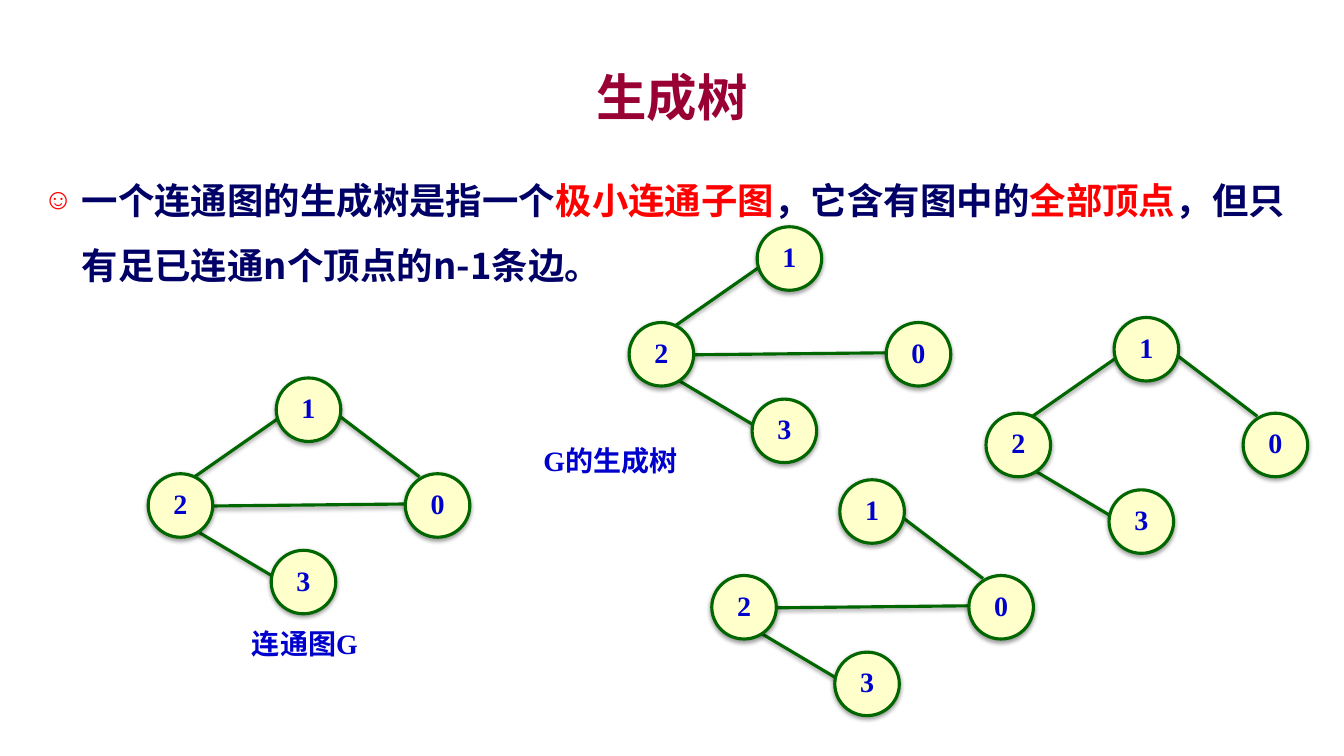
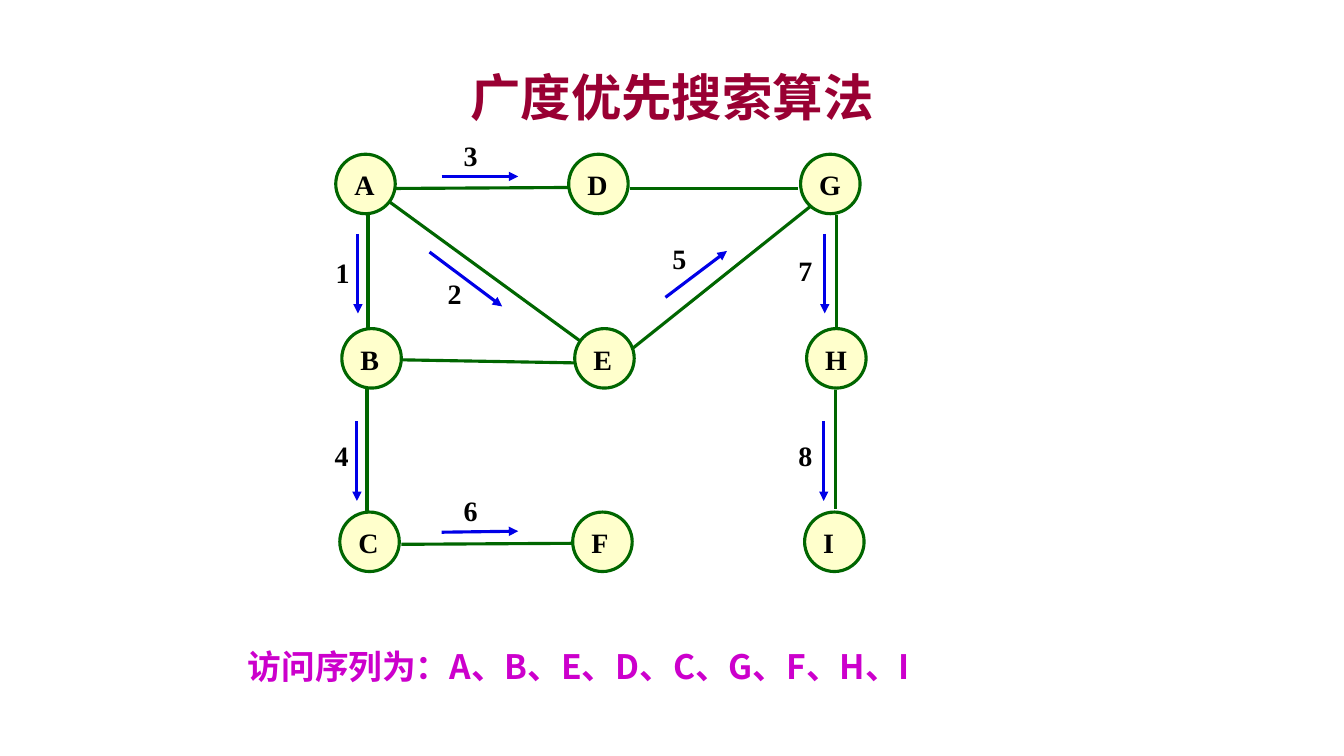
from lxml.etree import SubElement
from pptx import Presentation
from pptx.dml.color import RGBColor
from pptx.enum.shapes import MSO_CONNECTOR, MSO_SHAPE, MSO_SHAPE_TYPE
from pptx.enum.text import MSO_ANCHOR, MSO_AUTO_SIZE, PP_ALIGN
from pptx.oxml.ns import qn
from pptx.util import Pt

PX = 9144
CJK = "Noto Sans CJK SC"
SERIF = "Times New Roman"
MAROON = RGBColor(0x99, 0x00, 0x33)
NAVY = RGBColor(0x00, 0x00, 0x66)
RED = RGBColor(0xFF, 0x00, 0x00)
GREEN = RGBColor(0x00, 0x66, 0x00)
CREAM = RGBColor(0xFF, 0xFF, 0xCC)
BLUE = RGBColor(0x00, 0x00, 0xCC)
ARROW_BLUE = RGBColor(0x00, 0x00, 0xE7)
MAGENTA = RGBColor(0xCC, 0x00, 0xCC)
BLACK = RGBColor(0x00, 0x00, 0x00)


def add_line(s, ends, color, arrow=False):
    cn = s.shapes.add_connector(MSO_CONNECTOR.STRAIGHT, *[v * PX for v in ends])
    cn.line.color.rgb = color
    cn.line.width = Pt(2.25)
    if arrow:
        SubElement(cn.line._get_or_add_ln(), qn("a:tailEnd"), type="triangle")


def add_text(s, text, box, color, align, oval=False, font=SERIF, size=20):
    box = [v * PX for v in box]
    if oval:
        sp = s.shapes.add_shape(MSO_SHAPE.OVAL, *box)
        sp.fill.solid()
        sp.fill.fore_color.rgb = CREAM
        sp.line.color.rgb = GREEN
        sp.line.width = Pt(2.25)
    else:
        sp = s.shapes.add_textbox(*box)
    tf = sp.text_frame
    tf.word_wrap = True
    tf.vertical_anchor = MSO_ANCHOR.TOP
    tf.text = text
    p = tf.paragraphs[0]
    p.alignment = align
    f = p.runs[0].font
    f.name, f.size, f.bold = font, Pt(size), True
    f.color.rgb = color
    return tf


prs = Presentation()
prs.slide_width, prs.slide_height = 1333 * PX, 750 * PX

for layout, title in [(1, "生成树"), (5, "广度优先搜索算法")]:
    s = prs.slides.add_slide(prs.slide_layouts[layout])
    sp = s.shapes.title
    sp.left, sp.top, sp.width, sp.height = 100 * PX, 58 * PX, 1133 * PX, 75 * PX
    tf = sp.text_frame
    tf.text = title
    tf.auto_size = MSO_AUTO_SIZE.NONE
    tf.vertical_anchor = MSO_ANCHOR.MIDDLE
    p = tf.paragraphs[0]
    p.alignment = PP_ALIGN.CENTER
    f = p.runs[0].font
    f.name, f.size, f.bold = CJK, Pt(36), True
    f.color.rgb = MAROON

tree, bfs = prs.slides

sp = tree.placeholders[1]
sp.left, sp.top, sp.width, sp.height = 33 * PX, 150 * PX, 1267 * PX, 567 * PX
tf = sp.text_frame
tf.auto_size = MSO_AUTO_SIZE.NONE
p = tf.paragraphs[0]
p.line_spacing = 1.5
p.space_before = p.space_after = Pt(6)
for text, color in [
    ("一个连通图的生成树是指一个", NAVY),
    ("极小连通子图", RED),
    ("，它含有图中的", NAVY),
    ("全部顶点", RED),
    ("，但只有足已连通n个顶点的n-1条边。", NAVY),
]:
    r = p.add_run()
    r.text = text
    r.font.name, r.font.size, r.font.bold = CJK, Pt(26), True
    r.font.color.rgb = color
pPr = p._p.get_or_add_pPr()
pPr.set("marL", str(38 * PX))
pPr.set("indent", str(-38 * PX))
SubElement(SubElement(pPr, qn("a:buClr")), qn("a:srgbClr"), val=str(RED))
SubElement(pPr, qn("a:buSzPct"), val="80000")
SubElement(pPr, qn("a:buChar"), char="☺")

vertices = {"1": (127, 0), "0": (255, 95), "2": (0, 95), "3": (122, 171)}
edges = {
    "12": (46, 98, 132, 38),
    "23": (45, 150, 124, 197),
    "02": (255, 125, 64, 127),
    "10": (190, 38, 269, 98),
}
graphs = [
    (624, 225, ["12", "23", "02"]),
    (147, 375, ["12", "23", "02", "10"]),
    (978, 315, ["12", "23", "10"]),
    (706, 476, ["23", "02", "10"]),
]
for x, y, names in graphs:
    for name in names:
        x1, y1, x2, y2 = edges[name]
        add_line(tree, (x + x1, y + y1, x + x2, y + y2), GREEN)
    for label, (dx, dy) in vertices.items():
        tf = add_text(tree, label, (x + dx, y + dy, 64, 63), BLUE, PP_ALIGN.CENTER, oval=True)
        tf.margin_left = tf.margin_right = tf.margin_bottom = 0
        tf.margin_top = 12 * PX
        tf.paragraphs[0].line_spacing = 0.72
for caption, x, y in [("G的生成树", 508, 435), ("连通图G", 205, 617)]:
    add_text(tree, caption, (x, y, 195, 44), BLUE, PP_ALIGN.CENTER)

for ends in [
    (392, 187, 566, 186),
    (625, 187, 791, 187),
    (365, 211, 365, 330),
    (386, 200, 575, 338),
    (627, 346, 806, 203),
    (830, 213, 830, 331),
    (398, 357, 570, 360),
    (364, 385, 364, 508),
    (829, 387, 829, 505),
    (398, 540, 570, 539),
]:
    add_line(bfs, ends, GREEN)
for letters, y, shift in [("ADG", 153, 0), ("BEH", 326, 6), ("CFI", 508, 4)]:
    for letter, x in zip(letters, (333, 564, 794)):
        add_text(bfs, letter, (x + shift, y, 59, 59), BLACK, PP_ALIGN.JUSTIFY, oval=True)

steps = [
    ((355, 232, 355, 311), (323, 249)),
    ((426, 250, 498, 304), (434, 269)),
    ((438, 175, 514, 175), (450, 132)),
    ((354, 418, 354, 497), (322, 430)),
    ((660, 295, 721, 249), (657, 235)),
    ((438, 528, 514, 527), (450, 485)),
    ((818, 232, 818, 311), (782, 247)),
    ((817, 418, 817, 497), (782, 430)),
]
for number, (ends, (x, y)) in enumerate(steps, 1):
    add_line(bfs, ends, ARROW_BLUE, arrow=True)
    add_text(bfs, str(number), (x, y, 48, 50), BLACK, PP_ALIGN.JUSTIFY)
add_text(bfs, "访问序列为：A、B、E、D、C、G、F、H、I", (236, 636, 963, 50),
         MAGENTA, PP_ALIGN.LEFT, font=CJK, size=24)

for s in prs.slides:
    for sp in s.shapes:
        if sp.has_text_frame:
            for r in sp.text_frame.paragraphs[0].runs:
                SubElement(r.font._element, qn("a:ea"), typeface=CJK)
        if sp.is_placeholder:
            continue
        effects = SubElement(sp._element.spPr, qn("a:effectLst"))
        if s.slide_id == tree.slide_id and sp.shape_type != MSO_SHAPE_TYPE.TEXT_BOX:
            shadow = SubElement(effects, qn("a:outerShdw"), blurRad="40000",
                                dist="20000", dir="5400000", rotWithShape="0")
            clr = SubElement(shadow, qn("a:srgbClr"), val=str(BLACK))
            SubElement(clr, qn("a:alpha"), val="38000")

prs.save("out.pptx")
